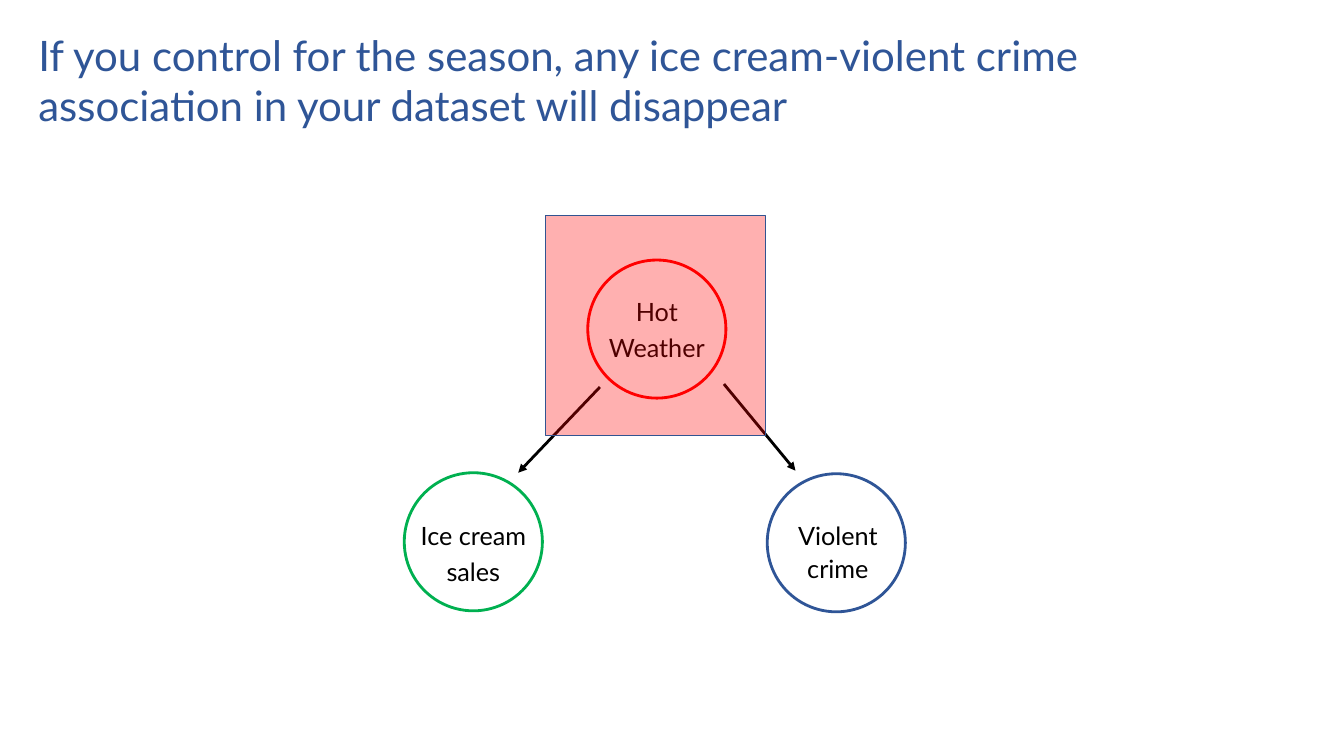
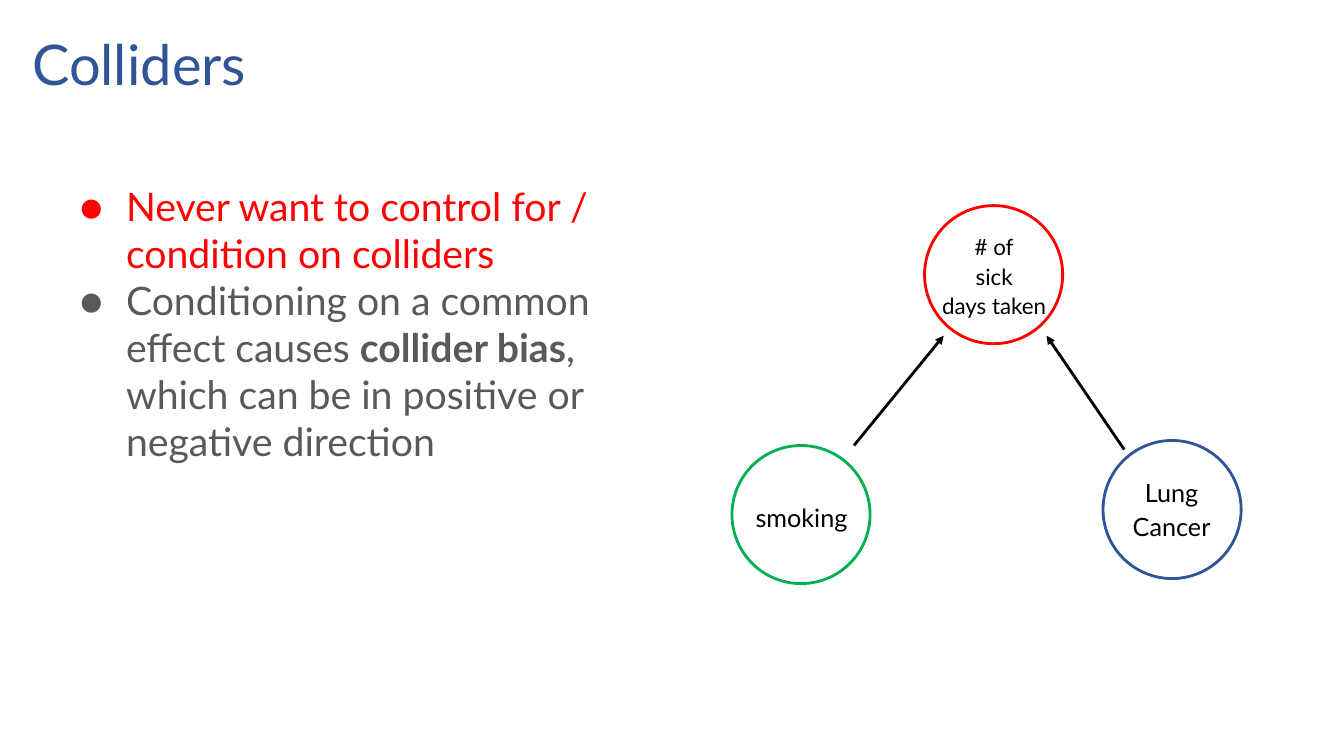
from lxml.etree import SubElement
from pptx import Presentation
from pptx.dml.color import RGBColor
from pptx.enum.shapes import MSO_CONNECTOR as Link, MSO_SHAPE as Geo
from pptx.enum.text import MSO_ANCHOR as Anchor, MSO_AUTO_SIZE as Fit, PP_ALIGN as Align
from pptx.oxml.ns import qn
from pptx.util import Pt

PX = 9144
FONT = "Lato"
BLUE, RED, GREEN = "2F5597", "FF0000", "00B050"
BLACK, GREY, NAVY = "000000", "595959", "325491"


def px(*lengths):
    return [length * PX for length in lengths]


def color(value):
    return RGBColor.from_string(value)


def write(paragraph, text, size=18, ink=BLACK, bold=False, align=Align.LEFT, spacing=1.0):
    paragraph.alignment = align
    paragraph.line_spacing = spacing
    run = paragraph.add_run()
    run.text = text
    run.font.name = FONT
    run.font.size = Pt(size)
    run.font.bold = bold
    run.font.color.rgb = color(ink)


class Deck:
    def __init__(self):
        self.show = Presentation()
        self.show.slide_width, self.show.slide_height = px(1333, 750)
        self.slide = None

    def frame(self, holder, inset, inset_y):
        frame = holder.text_frame
        frame.word_wrap = True
        frame.auto_size = Fit.NONE
        frame.vertical_anchor = Anchor.TOP
        frame.margin_left = frame.margin_right = inset * PX
        frame.margin_top = frame.margin_bottom = inset_y * PX
        return frame

    def box(self, place, inset=10, inset_y=5):
        return self.frame(self.slide.shapes.add_textbox(*px(*place)), inset, inset_y)

    def new_slide(self, heading, place, size, inset, spacing=1.0):
        self.slide = self.show.slides.add_slide(self.show.slide_layouts[5])
        title = self.slide.shapes.title
        title.left, title.top, title.width, title.height = px(*place)
        frame = self.frame(title, inset, inset)
        write(frame.paragraphs[0], heading, size=size, ink=BLUE, spacing=spacing)

    def outline(self, geo, place, ink, weight):
        shape = self.slide.shapes.add_shape(geo, *px(*place))
        shape.shadow.inherit = False
        shape.fill.background()
        shape.line.color.rgb = color(ink)
        shape.line.width = Pt(weight)
        return shape

    def node(self, lines, corner, ink, label, size=18, spacing=1.1):
        self.outline(Geo.OVAL, (*corner, 137, 137), ink, 2)
        frame = self.box(label)
        for i, line in enumerate(lines):
            paragraph = frame.add_paragraph() if i else frame.paragraphs[0]
            write(paragraph, line, size=size, align=Align.CENTER, spacing=spacing)

    def arrow(self, start, end):
        arrow = self.slide.shapes.add_connector(Link.STRAIGHT, *px(*start, *end))
        arrow.line.color.rgb = color(BLACK)
        arrow.line.width = Pt(2)
        SubElement(arrow.line._get_or_add_ln(), qn("a:tailEnd"), type="triangle")
        SubElement(arrow._element.spPr, qn("a:effectLst"))

    def veil(self, place, fill, opacity, ink):
        veil = self.outline(Geo.RECTANGLE, place, ink, 1)
        veil.fill.solid()
        veil.fill.fore_color.rgb = color(fill)
        tint = veil._element.spPr.find(qn("a:solidFill")).find(qn("a:srgbClr"))
        SubElement(tint, qn("a:alpha"), val=str(opacity * 1000))

    def bullets(self, place, points):
        frame = self.box(place, 13, 13)
        for i, (ink, parts) in enumerate(points):
            paragraph = frame.add_paragraph() if i else frame.paragraphs[0]
            for text, bold in parts:
                write(paragraph, text, size=28, ink=ink, bold=bold)
            props = paragraph._p.get_or_add_pPr()
            props.set("marL", str(67 * PX))
            props.set("indent", str(-46 * PX))
            SubElement(SubElement(props, qn("a:buClr")), qn("a:srgbClr"), val=ink)
            SubElement(props, qn("a:buFont"), typeface=FONT)
            SubElement(props, qn("a:buChar"), char="●")


def confounder(deck):
    deck.new_slide(
        "If you control for the season, any ice cream-violent crime "
        "association in your dataset will disappear",
        (28, 19, 1150, 83), 30, 10)
    deck.node(["Ice cream sales"], (401, 469), GREEN, (394, 505, 151, 79), spacing=1.2)
    deck.node(["Violent", "crime"], (761, 470), BLUE, (762, 508, 138, 79))
    deck.node(["Hot Weather"], (583, 258), RED, (576, 283, 151, 79), spacing=1.2)
    deck.arrow((595, 384), (514, 469))
    deck.arrow((718, 381), (789, 467))
    deck.veil((541, 214, 218, 218), RED, 31, NAVY)


def colliders(deck):
    deck.new_slide("Colliders", (19, 24, 1242, 84), 40, 13, spacing=0.9)
    deck.bullets((45, 168, 605, 508), [
        (RED, [("Never want to control for / condition on colliders", False)]),
        (GREY, [("Conditioning on a common effect causes ", False),
                ("collider bias", True),
                (", which can be in positive or negative direction", False)]),
    ])
    deck.node(["smoking"], (726, 442), GREEN, (726, 490, 138, 79))
    deck.node(["Lung Cancer"], (1094, 437), BLUE, (1093, 466, 138, 79))
    deck.node(["# of", "sick", "days taken"], (917, 204), RED, (917, 224, 138, 137), size=16)
    deck.arrow((847, 442), (936, 333))
    deck.arrow((1115, 446), (1038, 333))


def main():
    deck = Deck()
    confounder(deck)
    colliders(deck)
    deck.show.save("out.pptx")


if __name__ == "__main__":
    main()
